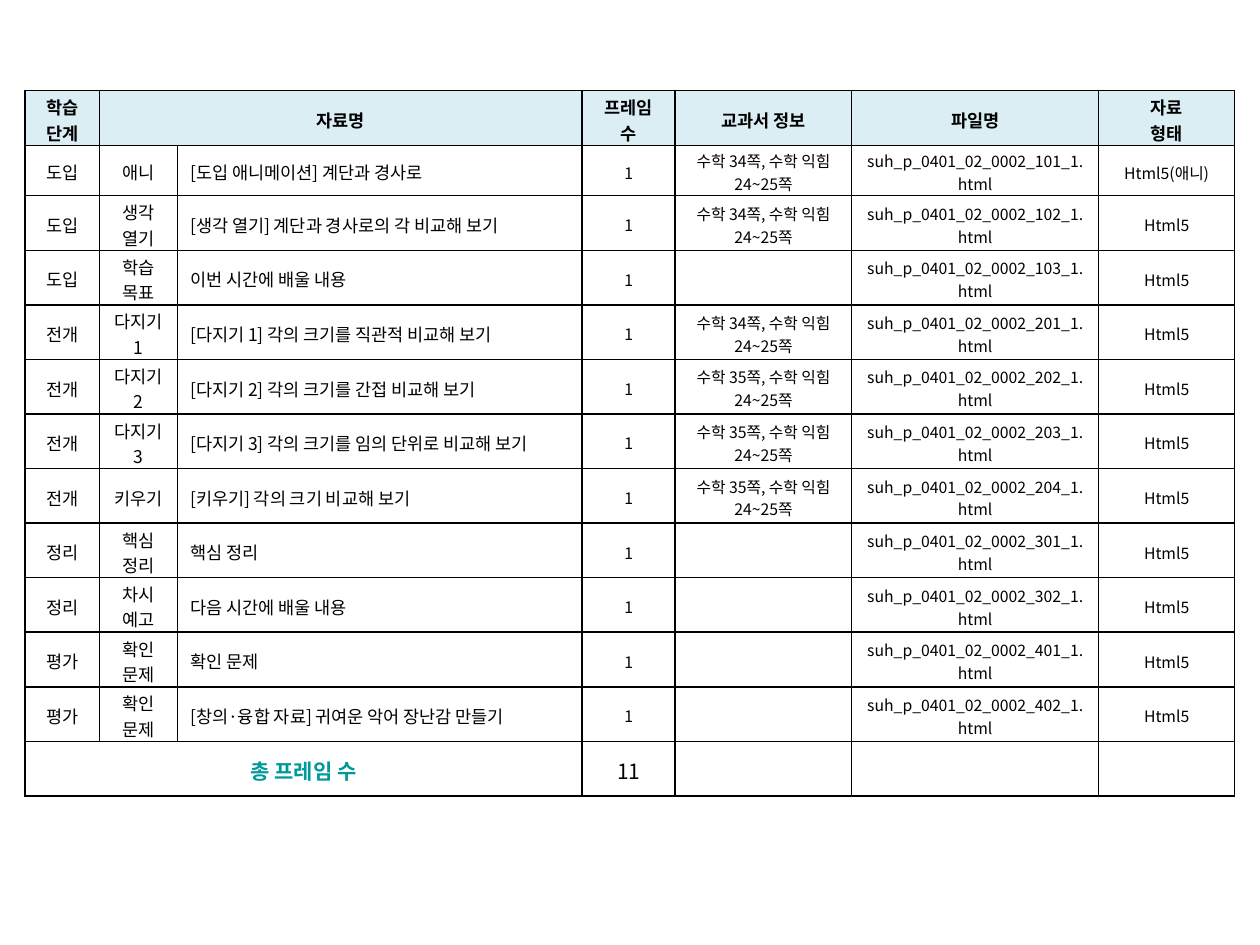
import pptx
import pptx.util
import pptx.dml.color
import pptx.enum.text
import pptx.oxml
import pptx.oxml.ns

COLORS = {"header": "DBEEF4", "text": "000000", "total": "009999", "border": "000000"}
FONT = "Noto Sans CJK KR"
NS = pptx.oxml.ns.nsdecls("a")
Inches = pptx.util.Inches
CENTER = pptx.enum.text.PP_ALIGN.CENTER
LEFT = pptx.enum.text.PP_ALIGN.LEFT

column_widths = [0.59, 0.62, 3.21, 0.74, 1.4, 1.96, 1.08]
row_heights = [5.2 / 12, 0.4] + [5.2 / 12] * 11
body_sizes = [10, 10, 10, 9, 9, 9, 9]

headings = ["학습 단계", "자료명", "", "프레임 수", "교과서 정보", "파일명", "자료\n형태"]
materials = [
    ("도입", "애니", "[도입 애니메이션] 계단과 경사로", 34, 101),
    ("도입", "생각 열기", "[생각 열기] 계단과 경사로의 각 비교해 보기", 34, 102),
    ("도입", "학습 목표", "이번 시간에 배울 내용", None, 103),
    ("전개", "다지기 1", "[다지기 1] 각의 크기를 직관적 비교해 보기", 34, 201),
    ("전개", "다지기 2", "[다지기 2] 각의 크기를 간접 비교해 보기", 35, 202),
    ("전개", "다지기 3", "[다지기 3] 각의 크기를 임의 단위로 비교해 보기", 35, 203),
    ("전개", "키우기", "[키우기] 각의 크기 비교해 보기", 35, 204),
    ("정리", "핵심 정리", "핵심 정리", None, 301),
    ("정리", "차시 예고", "다음 시간에 배울 내용", None, 302),
    ("평가", "확인 문제", "확인 문제", None, 401),
    ("평가", "확인 문제", "[창의·융합 자료] 귀여운 악어 장난감 만들기", None, 402),
]

rows = [headings]
for stage, activity, title, page, number in materials:
    textbook = f"수학 {page}쪽, 수학 익힘 24~25쪽" if page else ""
    file_name = f"suh_p_0401_02_0002_{number}_1.html"
    file_kind = "Html5(애니)" if number == 101 else "Html5"
    rows.append([stage, activity, title, "1", textbook, file_name, file_kind])
rows.append(["총 프레임 수", "", "", str(len(materials)), "", "", ""])
total_row = len(rows) - 1

deck = pptx.Presentation()
deck.slide_width, deck.slide_height = Inches(10), Inches(7.5)
slide = deck.slides.add_slide(deck.slide_layouts[6])
frame = slide.shapes.add_table(
    len(rows), len(column_widths), Inches(0.2), Inches(0.72), Inches(9.6), Inches(5.6)
)
lessons = frame.table
lessons.first_row = False
lessons.horz_banding = False
for column, width in zip(lessons.columns, column_widths):
    column.width = Inches(width)
for row, height in zip(lessons.rows, row_heights):
    row.height = Inches(height)

for r, texts in enumerate(rows):
    for c, text in enumerate(texts):
        cell = lessons.cell(r, c)
        cell.text_frame.text = text
        cell.vertical_anchor = pptx.enum.text.MSO_ANCHOR.MIDDLE
        cell.margin_left = cell.margin_right = Inches(0.1)
        cell.margin_top, cell.margin_bottom = Inches(0.03), 0
        properties = cell._tc.get_or_add_tcPr()
        for side in ("lnL", "lnR", "lnT", "lnB"):
            properties.append(pptx.oxml.parse_xml(
                f'<a:{side} {NS} w="12700"><a:solidFill>'
                f'<a:srgbClr val="{COLORS["border"]}"/></a:solidFill></a:{side}>'
            ))
        if r == 0:
            cell.fill.solid()
            cell.fill.fore_color.rgb = pptx.dml.color.RGBColor.from_string(COLORS["header"])
        else:
            cell.fill.background()

        is_total = r == total_row and c == 0
        size = 10 if r == 0 else 12 if r == total_row else body_sizes[c]
        for paragraph in cell.text_frame.paragraphs:
            paragraph.alignment = LEFT if c == 2 and 0 < r < total_row else CENTER
            font = paragraph.font
            font.size = pptx.util.Pt(size)
            font.bold = r == 0 or is_total
            font.color.rgb = pptx.dml.color.RGBColor.from_string(
                COLORS["total" if is_total else "text"]
            )
            font.name = FONT
            font._element.append(pptx.oxml.parse_xml(f'<a:ea {NS} typeface="{FONT}"/>'))

lessons.cell(0, 1).merge(lessons.cell(0, 2))
lessons.cell(total_row, 0).merge(lessons.cell(total_row, 2))

deck.save("out.pptx")
